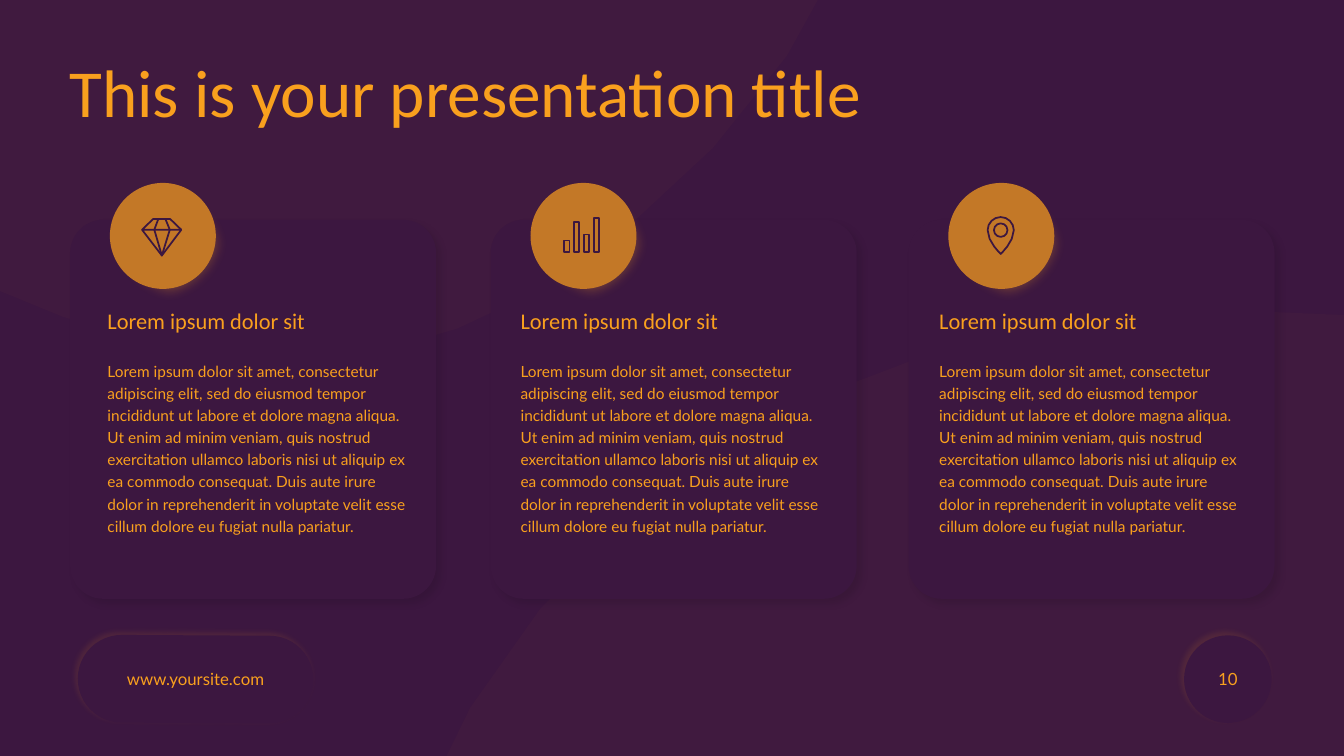
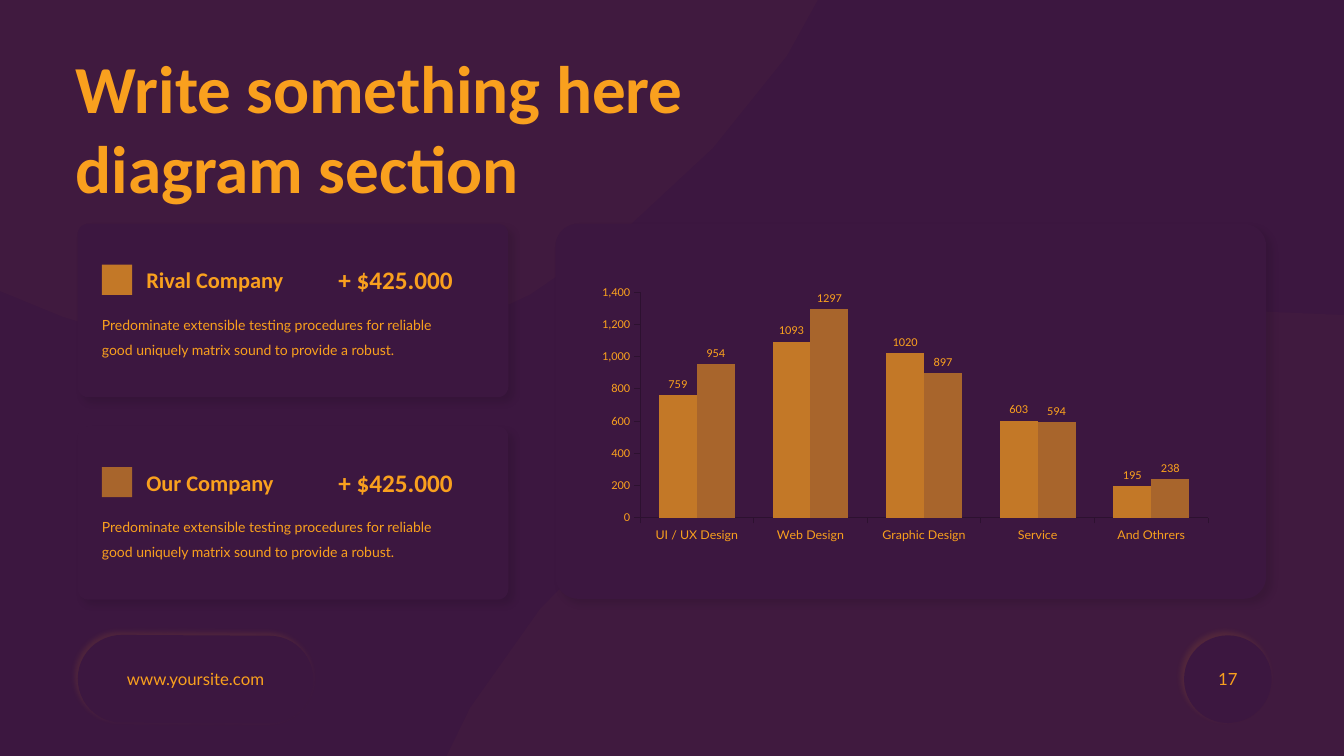
from dataclasses import dataclass
from math import cos, pi, sin

from lxml import etree
from pptx import Presentation
from pptx.chart.data import CategoryChartData
from pptx.dml.color import RGBColor
from pptx.enum import chart as charts, shapes, text
from pptx.oxml import parse_xml
from pptx.oxml.ns import nsdecls, qn
from pptx.util import Cm, Pt


@dataclass(frozen=True)
class Theme:
    plum: RGBColor = RGBColor(0x3C, 0x17, 0x40)
    axis: RGBColor = RGBColor(0x2D, 0x11, 0x30)
    amber: RGBColor = RGBColor(0xF9, 0xA0, 0x1E)
    ochre: RGBColor = RGBColor(0xC3, 0x78, 0x27)
    copper: RGBColor = RGBColor(0xA8, 0x65, 0x2C)
    black: RGBColor = RGBColor(0, 0, 0)
    heading_font: str = "Calibri"
    body_font: str = "Lato"
    title: int = 48
    amount: int = 18
    heading: int = 16
    footer: int = 12
    body: int = 11
    note: int = 10
    chart: int = 9


theme = Theme()


def add_panel(slide, kind, box, fill, shadow=None, corner=None):
    """Borderless shape; shadow is (colour, blur pt, distance pt, angle)."""
    shape = slide.shapes.add_shape(kind, *map(Cm, box))
    if corner is not None:
        shape.adjustments[0] = corner
    shape.fill.solid()
    shape.fill.fore_color.rgb = fill
    shape.line.fill.background()
    shape.shadow.inherit = False
    if shadow:
        colour, blur, distance, angle = shadow
        shape._element.spPr.find(qn("a:effectLst")).append(parse_xml(
            f'<a:outerShdw {nsdecls("a")} blurRad="{Pt(blur)}" dist="{Pt(distance)}" '
            f'dir="{angle * 60000}" algn="ctr" rotWithShape="0"><a:srgbClr val="{colour}">'
            '<a:alpha val="10000"/></a:srgbClr></a:outerShdw>'))
    return shape


def add_text(slide, box, content, size, font, bold=False, spacing=1.0, centred=False):
    frame = slide.shapes.add_textbox(*map(Cm, box)).text_frame
    frame.word_wrap = True
    frame.margin_left = frame.margin_right = frame.margin_top = frame.margin_bottom = 0
    paragraph = frame.paragraphs[0]
    paragraph.line_spacing = spacing
    if centred:
        frame.vertical_anchor = text.MSO_ANCHOR.MIDDLE
        paragraph.alignment = text.PP_ALIGN.CENTER
    for index, line in enumerate(content.split("\n")):
        if index:
            paragraph.add_line_break()
        run = paragraph.add_run()
        run.text = line
        run.font.size = Pt(size)
        run.font.name = font
        run.font.bold = bold
        run.font.color.rgb = theme.amber


# Curved outlines: steps per curve (fine only where it shows), then a start
# point followed by two control points and an end for each curve
curves = {
    "upper blob": ((6, 8, 2, 2, 2), [
        (21.64, -5.64), (23.01, -1.52), (18.21, 4.67), (13.36, 7.42),
        (8.48, 10.13), (3.58, 9.45), (-3.15, 5.82),
        (-9.91, 2.24), (-18.47, -4.32), (-17.35, -8.13),
        (-16.28, -11.94), (-5.49, -12.95), (3.66, -12.45),
        (12.8, -11.89), (20.29, -9.78), (21.64, -5.64)]),
    "lower blob": ((2, 2, 2, 8, 6), [
        (50.29, 17.7), (52.25, 24), (46.43, 32.51), (38.48, 38.35),
        (30.53, 44.2), (20.47, 47.29), (14.66, 43.36),
        (8.89, 39.42), (7.42, 28.45), (10.49, 20.62),
        (13.56, 12.8), (21.23, 8.13), (29.92, 7.77),
        (38.61, 7.44), (48.36, 11.46), (50.29, 17.7)]),
    "pin": ((4, 4, 4, 4), [
        (1.32, 0.86), (1.5, 0.86), (1.65, 1.01), (1.65, 1.19),
        (1.65, 1.49), (1.32, 1.79), (1.32, 1.79),
        (1.32, 1.79), (0.99, 1.49), (0.99, 1.19),
        (0.99, 1.01), (1.14, 0.86), (1.32, 0.86)]),
}
outlines = {}
for name, (step_counts, points) in curves.items():
    outlines[name] = [points[0]]
    for curve, steps in enumerate(step_counts):
        segment = points[3 * curve:3 * curve + 4]
        for step in range(1, steps + 1):
            t = step / steps
            weights = ((1 - t) ** 3, 3 * t * (1 - t) ** 2, 3 * t * t * (1 - t), t ** 3)
            outlines[name].append(tuple(
                sum(w * p[axis] for w, p in zip(weights, segment)) for axis in (0, 1)))

# Icons: lists of strokes, measured from the corner of their disc
diamond = [
    [(0.81, 1.18), (1.09, 0.91), (1.52, 0.91), (1.8, 1.18), (1.31, 1.83), (0.81, 1.18), (1.8, 1.18)],
    [(1.22, 0.91), (1.12, 1.18), (1.31, 1.83), (1.51, 1.18), (1.4, 0.91)],
]
bars = []
for index, top in enumerate((1.45, 0.99, 1.3, 0.89)):
    left = 0.85 + 0.25 * index
    right = left + 0.13
    bars.append([(left, 1.74), (left, top), (right, top), (right, 1.74), (left, 1.74)])
ring = [(1.32 + 0.17 * cos(pi * i / 6), 1.19 + 0.17 * sin(pi * i / 6)) for i in range(13)]
pin = [outlines["pin"], ring]

# Presentation and background
presentation = Presentation()
presentation.slide_width, presentation.slide_height = Cm(33.87), Cm(19.05)
background = presentation.slide_master.background.fill
background.solid()
background.fore_color.rgb = theme.plum
blank = presentation.slide_layouts[6]
rectangle, rounded, oval = (shapes.MSO_SHAPE.RECTANGLE, shapes.MSO_SHAPE.ROUNDED_RECTANGLE,
                            shapes.MSO_SHAPE.OVAL)
card_shadow = (theme.black, 5, 5, 45)
footer_glow = (theme.amber, 4, 3, 225)

# Blobs and footer of every slide
site_box = (1.96, 16.01, 5.94, 2.21)
number_box = (29.84, 16.01, 2.21, 2.21)
for number in ("10", "17"):
    slide = presentation.slides.add_slide(blank)
    for name in ("upper blob", "lower blob"):
        points = [(Cm(x), Cm(y)) for x, y in outlines[name]]
        builder = slide.shapes.build_freeform(*points[0])
        builder.add_line_segments(points[1:])
        blob = builder.convert_to_shape()
        blob.fill.solid()
        blob.fill.fore_color.rgb = theme.ochre
        colour = blob._element.spPr.find(qn("a:solidFill"))[0]
        etree.SubElement(colour, qn("a:alpha")).set("val", "3000")
        blob.line.fill.background()
        blob.shadow.inherit = False
    add_panel(slide, oval, number_box, theme.plum, footer_glow)
    add_text(slide, number_box, number, theme.footer, theme.body_font, centred=True)
    pill = add_panel(slide, rounded, site_box, theme.plum, footer_glow, 0.5)
    pill.rotation = 0.3
    add_text(slide, site_box, "www.yoursite.com", theme.footer, theme.body_font, centred=True)
cards_slide, chart_slide = presentation.slides

# Slide 1: three cards with icons
add_text(cards_slide, (1.75, 1.5, 27.18, 2.77), "This is your presentation title",
         theme.title, theme.heading_font, spacing=0.9)
lorem = ("Lorem ipsum dolor sit amet, consectetur adipiscing elit, sed do eiusmod tempor "
         "incididunt ut labore et dolore magna aliqua. Ut enim ad minim veniam, quis nostrud "
         "exercitation ullamco laboris nisi ut aliquip ex ea commodo consequat. Duis aute irure "
         "dolor in reprehenderit in voluptate velit esse cillum dolore eu fugiat nulla pariatur.")
disc_top = 4.61
for card_left, text_left, icon in ((1.77, 2.71, diamond), (12.37, 13.12, bars), (22.9, 23.67, pin)):
    disc_left = card_left + 1
    add_panel(cards_slide, rounded, (card_left, 5.54, 9.22, 9.55), theme.plum, card_shadow, 0.09)

    # Soft halo behind the disc
    halo = add_panel(cards_slide, oval, (disc_left - 0.03, disc_top, 3.07, 3.07), theme.amber)
    colour = halo._element.spPr.find(qn("a:solidFill"))[0]
    etree.SubElement(colour, qn("a:alpha")).set("val", "40000")
    effects = halo._element.spPr.find(qn("a:effectLst"))
    etree.SubElement(effects, qn("a:softEdge")).set("rad", str(Pt(10)))
    add_panel(cards_slide, oval, (disc_left, disc_top, 2.67, 2.67), theme.ochre)

    # Icon as one stroked outline
    strokes = [[(Cm(disc_left + x), Cm(disc_top + y)) for x, y in stroke] for stroke in icon]
    builder = cards_slide.shapes.build_freeform(*strokes[0][0])
    builder.add_line_segments(strokes[0][1:], close=False)
    for stroke in strokes[1:]:
        builder.move_to(*stroke[0])
        builder.add_line_segments(stroke[1:], close=False)
    drawing = builder.convert_to_shape()
    drawing.fill.background()
    drawing.line.color.rgb = theme.plum
    drawing.line.width = Pt(1.25)
    drawing.shadow.inherit = False

    add_text(cards_slide, (text_left, 7.82, 7.67, 1.02), "Lorem ipsum dolor sit",
             theme.heading, theme.heading_font, spacing=0.9)
    add_text(cards_slide, (text_left, 9.02, 7.67, 5.03), lorem,
             theme.body, theme.body_font, spacing=1.2)

# Slide 2: title and chart card
add_text(chart_slide, (1.91, 1.16, 23.57, 4.11), "Write something here\ndiagram section",
         theme.title, theme.heading_font, bold=True)
add_panel(chart_slide, rounded, (14, 5.64, 17.91, 9.45), theme.plum, card_shadow, 0.06)

# Company cards, which also serve as the chart's key
for top, name, colour in ((5.64, "Rival Company", theme.ochre), (10.74, "Our Company", theme.copper)):
    add_panel(chart_slide, rounded, (1.96, top, 10.85, 4.37), theme.plum, card_shadow, 0.06)
    add_panel(chart_slide, rectangle, (2.57, top + 1.03, 0.76, 0.76), colour)
    add_text(chart_slide, (3.69, top + 1.07, 4.7, 0.69), name,
             theme.heading, theme.heading_font, bold=True)
    add_text(chart_slide, (8.53, top + 1.03, 4.06, 0.76), "+ $425.000",
             theme.amount, theme.heading_font, bold=True)
    add_text(chart_slide, (2.57, top + 2.12, 8.81, 1.22),
             "Predominate extensible testing procedures for reliable good uniquely matrix sound "
             "to provide a robust.", theme.note, theme.body_font, spacing=1.5)

# Column chart
data = CategoryChartData()
data.categories = ["UI / UX Design", "Web Design", "Graphic Design", "Service", "And Othrers"]
data.add_series("Series 1", (759, 1093, 1020, 603, 195))
data.add_series("Series 2", (954, 1297, 897, 594, 238))
chart = chart_slide.shapes.add_chart(
    charts.XL_CHART_TYPE.COLUMN_CLUSTERED, Cm(15.17), Cm(7.19), Cm(15.29), Cm(6.47), data).chart
chart.has_title = chart.has_legend = False
chart.font.name, chart.font.size = theme.body_font, Pt(theme.chart)
chart.font.color.rgb = theme.amber
plot = chart.plots[0]
plot.vary_by_categories = False
plot.gap_width, plot.overlap = 100, 0
for series, colour in zip(plot.series, (theme.ochre, theme.copper)):
    series.format.fill.solid()
    series.format.fill.fore_color.rgb = colour
    labels = series.data_labels
    labels.show_value = True
    labels.position = charts.XL_LABEL_POSITION.OUTSIDE_END
    labels.font.name, labels.font.size = theme.heading_font, Pt(theme.chart)
    labels.font.color.rgb = theme.amber
for axis, font in ((chart.category_axis, theme.body_font), (chart.value_axis, theme.heading_font)):
    axis.has_major_gridlines = False
    axis.major_tick_mark = charts.XL_TICK_MARK.OUTSIDE
    axis.tick_labels.font.name, axis.tick_labels.font.size = font, Pt(theme.chart)
    axis.tick_labels.font.color.rgb = theme.amber
    axis.format.line.color.rgb = theme.axis
    axis.format.line.width = Pt(0.75)
values = chart.value_axis
values.minimum_scale, values.maximum_scale, values.major_unit = 0, 1400, 200
values.tick_labels.number_format = "#,##0"
values.tick_labels.number_format_is_linked = False

# Fixed inner plot area
plot_area = chart._chartSpace.chart.plotArea
for layout in plot_area.findall(qn("c:layout")):
    plot_area.remove(layout)
plot_area.insert(0, parse_xml(
    f'<c:layout {nsdecls("c")}><c:manualLayout><c:layoutTarget val="inner"/>'
    '<c:xMode val="edge"/><c:yMode val="edge"/><c:x val="0.05"/><c:y val="0"/>'
    '<c:w val="0.95"/><c:h val="0.92"/></c:manualLayout></c:layout>'))

presentation.save("out.pptx")
